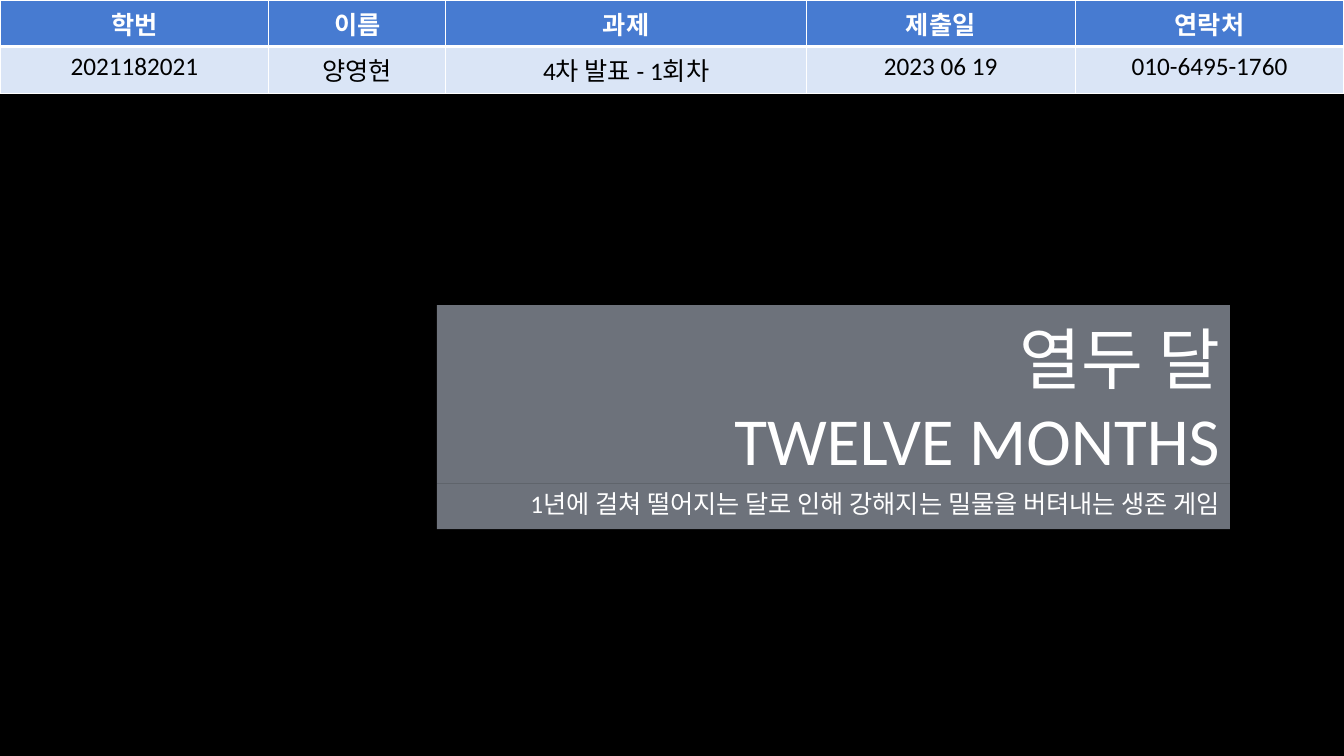
from lxml.etree import SubElement
from pptx import Presentation
from pptx.dml.color import RGBColor
from pptx.enum.shapes import MSO_SHAPE as Preset
from pptx.enum.text import MSO_ANCHOR as Anchor, PP_ALIGN as Align
from pptx.oxml.ns import qn
from pptx.util import Pt

COLORS = {"background": "000000", "header": "477BD1", "pale": "DAE5F6",
          "light": "FFFFFF", "dark": "000000"}
COLUMNS = [  # heading, value, width
    ("학번", "2021182021", 192),
    ("이름", "양영현", 126.5),
    ("과제", "4차 발표 - 1회차", 257.5),
    ("제출일", "2023 06 19", 192),
    ("연락처", "010-6495-1760", 192),
]
ROW_HEIGHT = 29.2
BANNER_LEFT, BANNER_WIDTH = 312, 566.5
TITLE_TOP, TITLE_HEIGHT = 218, 127.5
SUBTITLE_HEIGHT = 32.4


def color(name):
    return RGBColor.from_string(COLORS[name])


def write_text(frame, text, size=18, ink="light", bold=False, align=Align.CENTER, space_after=0):
    paragraph = frame.paragraphs[0]
    paragraph.text = text
    paragraph.alignment = align
    paragraph.space_after = Pt(space_after)
    for run in paragraph.runs:
        run.font.name = "Calibri"
        run.font.size = Pt(size)
        run.font.bold = bold
        run.font.color.rgb = color(ink)


class SlideBuilder:
    def __init__(self, presentation):
        self.slide = presentation.slides.add_slide(presentation.slide_layouts[6])
        fill = self.slide.background.fill
        fill.solid()
        fill.fore_color.rgb = color("background")

    def banner(self, top, height, text, anchor, **text_format):
        """Add a half-transparent bar with right-aligned text."""
        shape = self.slide.shapes.add_shape(
            Preset.RECTANGLE, Pt(BANNER_LEFT), Pt(top), Pt(BANNER_WIDTH), Pt(height))
        shape.shadow.inherit = False
        shape.line.fill.background()
        shape.fill.solid()
        shape.fill.fore_color.rgb = color("pale")
        tint = shape.fill._xPr.find(qn("a:solidFill"))[0]
        SubElement(tint, qn("a:alpha"), val="50000")
        frame = shape.text_frame
        frame.word_wrap = True
        frame.vertical_anchor = anchor
        write_text(frame, text, align=Align.RIGHT, **text_format)

    def table(self, columns):
        total_width = sum(width for _, _, width in columns)
        table = self.slide.shapes.add_table(
            2, len(columns), 0, 0, Pt(total_width), Pt(2 * ROW_HEIGHT)).table
        for row in table.rows:
            row.height = Pt(ROW_HEIGHT)
        for index, (heading, value, width) in enumerate(columns):
            table.columns[index].width = Pt(width)
            self.cell(table.cell(0, index), heading, "header", 3, 1, ink="light", bold=True)
            self.cell(table.cell(1, index), value, "pale", 1, 3, ink="dark")

    def cell(self, cell, text, fill, bottom, top, **text_format):
        write_text(cell.text_frame, text, **text_format)
        properties = cell._tc.get_or_add_tcPr()
        for tag, points in (("a:lnL", 1), ("a:lnR", 1), ("a:lnT", top), ("a:lnB", bottom)):
            border = SubElement(properties, qn(tag), w=str(Pt(points)))
            solid = SubElement(border, qn("a:solidFill"))
            SubElement(solid, qn("a:srgbClr"), val=COLORS["light"])
        cell.fill.solid()
        cell.fill.fore_color.rgb = color(fill)


def main():
    presentation = Presentation()
    presentation.slide_width, presentation.slide_height = Pt(960), Pt(540)
    builder = SlideBuilder(presentation)
    builder.banner(TITLE_TOP, TITLE_HEIGHT, "열두 달\vTWELVE MONTHS", Anchor.BOTTOM, size=48)
    builder.banner(TITLE_TOP + TITLE_HEIGHT, SUBTITLE_HEIGHT,
                   "1년에 걸쳐 떨어지는 달로 인해 강해지는 밀물을 버텨내는 생존 게임",
                   Anchor.TOP, space_after=10)
    builder.table(COLUMNS)
    presentation.save("out.pptx")


if __name__ == "__main__":
    main()
